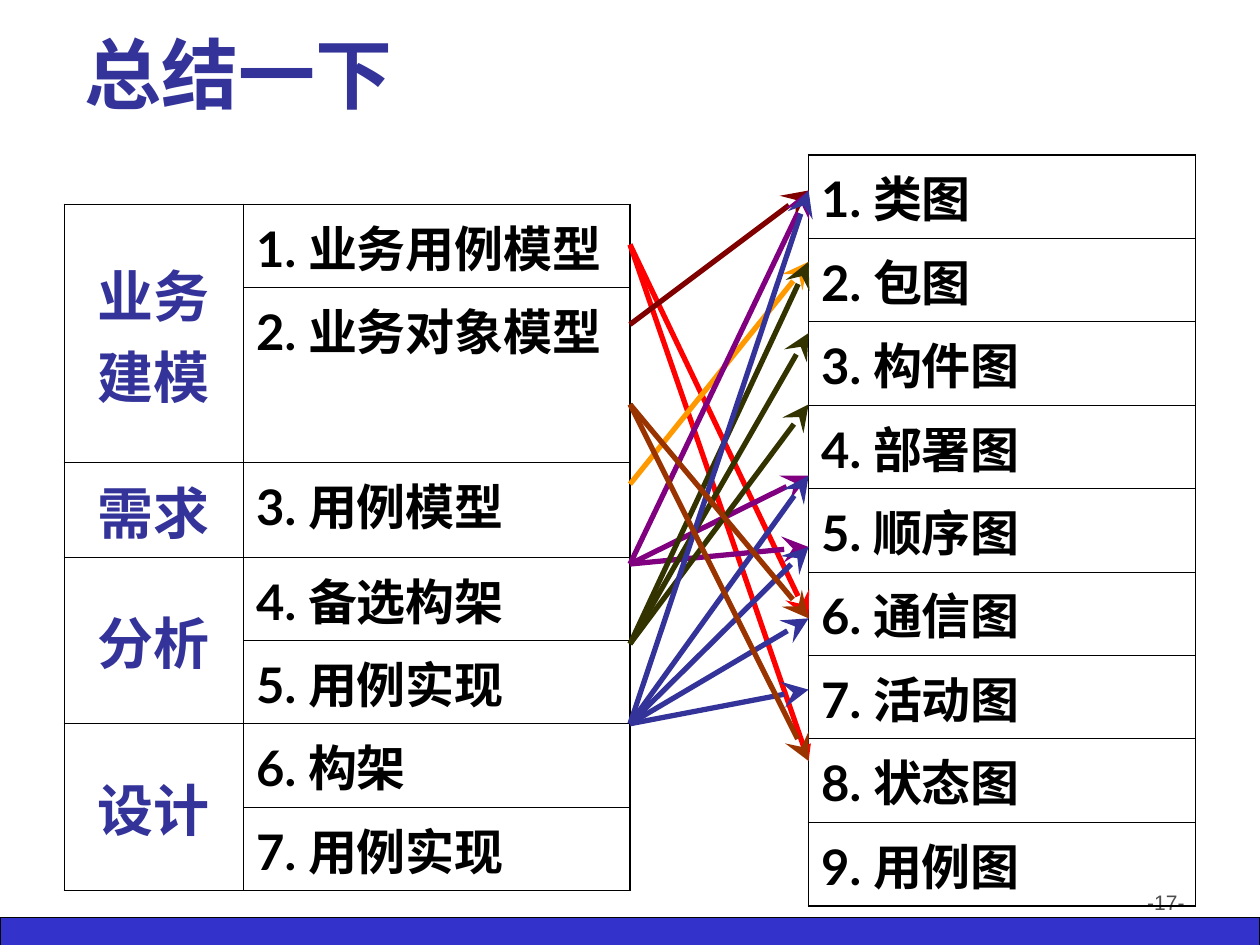
from lxml import etree
from pptx import Presentation
from pptx.dml.color import RGBColor
from pptx.enum import shapes, text
from pptx.oxml import ns
from pptx.util import Cm, Pt

COLORS = {
    "bar": "3333CC", "heading": "333399", "ink": "000000", "number": "4D4D4D",
    "red": "FF0000", "maroon": "800000", "orange": "FF9900",
    "purple": "800080", "olive": "333300", "brown": "993300",
}
PHASES = [
    ("业务建模", ["业务用例模型", "业务对象模型"]),
    ("需求", ["用例模型"]),
    ("分析", ["备选构架", "用例实现"]),
    ("设计", ["构架", "用例实现"]),
]
MODEL_HEIGHTS = [1.68, 3.53, 1.9, 1.68, 1.68, 1.68, 1.68]
DIAGRAMS = ["类图", "包图", "构件图", "部署图", "顺序图", "通信图", "活动图", "状态图", "用例图"]
LINKS = [
    (0, "red", [8, 6]), (1, "maroon", [0]), (3, "orange", [1]),
    (4, "purple", [4, 5, 0]), (5, "olive", [1, 2, 3]),
    (6, "heading", [0, 4, 5, 6, 7]), (2, "brown", [8, 6]),
]
HEAVY, FINE = Pt(1.08), Pt(0.45)


def color(name):
    """Return the named colour."""
    return RGBColor.from_string(COLORS[name])


def write(frame, content, size, ink, font="Lato", bold=True, align=text.PP_ALIGN.LEFT):
    """Put one formatted paragraph into a text frame."""
    frame.text = content
    para = frame.paragraphs[0]
    para.alignment = align
    span = para.runs[0]
    span.font.name, span.font.size, span.font.bold = font, Pt(size), bold
    span.font.color.rgb = color(ink)


def add_text(page, box, content, anchor=text.MSO_ANCHOR.TOP, **style):
    """Add a wrapping text box."""
    frame = page.shapes.add_textbox(*map(Cm, box)).text_frame
    frame.word_wrap = True
    frame.vertical_anchor = anchor
    write(frame, content, **style)


def add_footer(page, box):
    """Add the bottom bar with the page number above it."""
    left, top, width, height = box
    bar = page.shapes.add_shape(shapes.MSO_SHAPE.RECTANGLE, *map(Cm, box))
    bar.shadow.inherit = False
    bar.fill.solid()
    bar.fill.fore_color.rgb = color("bar")
    bar.line.color.rgb = color("ink")
    bar.line.width = Pt(0.75)
    add_text(page, (left + 18.21, top - 0.68, 5.92, 1.32), "-17-", size=12, ink="number",
             font="Arial", bold=False, align=text.PP_ALIGN.RIGHT)


def add_grid(page, box, widths, heights):
    """Add an unfilled table with a heavy frame and fine inner rules."""
    rows, columns = len(heights), len(widths)
    table = page.shapes.add_table(rows, columns, *map(Cm, box)).table
    table.first_row = table.horz_banding = False
    for column, width in zip(table.columns, widths):
        column.width = Cm(width)
    for index, (row, height) in enumerate(zip(table.rows, heights)):
        row.height = Cm(height)
        for place, cell in enumerate(row.cells):
            outer = {"L": place == 0, "R": place == columns - 1,
                     "T": index == 0, "B": index == rows - 1}
            properties = cell._tc.get_or_add_tcPr()
            for side, heavy in outer.items():
                rule = etree.SubElement(properties, ns.qn(f"a:ln{side}"),
                                        w=str(HEAVY if heavy else FINE))
                fill = etree.SubElement(rule, ns.qn("a:solidFill"))
                etree.SubElement(fill, ns.qn("a:srgbClr"), val=COLORS["ink"])
            cell.fill.background()
    return table


def add_models(page, box):
    """Add the table of phases and their models."""
    table = add_grid(page, box, [3.61, box[2] - 3.61], MODEL_HEIGHTS)
    row = 0
    for phase, models in PHASES:
        label = table.cell(row, 0)
        if len(models) > 1:
            label.merge(table.cell(row + len(models) - 1, 0))
        label.vertical_anchor = text.MSO_ANCHOR.MIDDLE
        write(label.text_frame, phase, 32, "heading", align=text.PP_ALIGN.CENTER)
        for model in models:
            write(table.cell(row, 1).text_frame, f"{row + 1}. {model}", 28, "ink")
            row += 1
    label._tc.tcPr.find(ns.qn("a:lnB")).set("w", str(HEAVY))


def add_diagrams(page, box):
    """Add the numbered list of diagram types."""
    count = len(DIAGRAMS)
    table = add_grid(page, box, [box[2]], [box[3] / count] * count)
    for row, diagram in enumerate(DIAGRAMS):
        write(table.cell(row, 0).text_frame, f"{row + 1}. {diagram}", 28, "ink")


def add_links(page, box):
    """Draw arrows from models on the left edge to diagrams on the right."""
    left, top, width, height = box
    model_step, diagram_step = 1.61, height / (len(DIAGRAMS) - 1)
    for model, ink, diagrams in LINKS:
        start = top + 1.09 + model * model_step
        for diagram in diagrams:
            end = top + diagram * diagram_step
            arrow = page.shapes.add_connector(
                shapes.MSO_CONNECTOR.STRAIGHT, Cm(left), Cm(start), Cm(left + width), Cm(end))
            arrow.line.color.rgb = color(ink)
            arrow.line.width = Pt(3)
            head = "triangle" if (model, diagram) == (0, 8) else "stealth"
            size = "med" if head == "triangle" else "lg"
            etree.SubElement(arrow.line._get_or_add_ln(), ns.qn("a:tailEnd"),
                             type=head, w=size, len=size)
            etree.SubElement(arrow._element.spPr, ns.qn("a:effectLst"))


def main():
    """Build and save the summary slide."""
    deck = Presentation()
    deck.slide_width, deck.slide_height = Cm(25.4), Cm(19.05)
    page = deck.slides.add_slide(deck.slide_layouts[6])
    add_footer(page, (0, 18.49, 25.4, 0.64))
    add_text(page, (1.45, 0.73, 22.05, 1.8), "总结一下", text.MSO_ANCHOR.BOTTOM,
             size=44, ink="heading")
    add_models(page, (1.3, 4.12, 11.4, sum(MODEL_HEIGHTS)))
    add_diagrams(page, (16.3, 3.12, 7.8, 15.14))
    add_links(page, (12.7, 3.84, 3.6, 11.5))
    deck.save("out.pptx")


if __name__ == "__main__":
    main()
